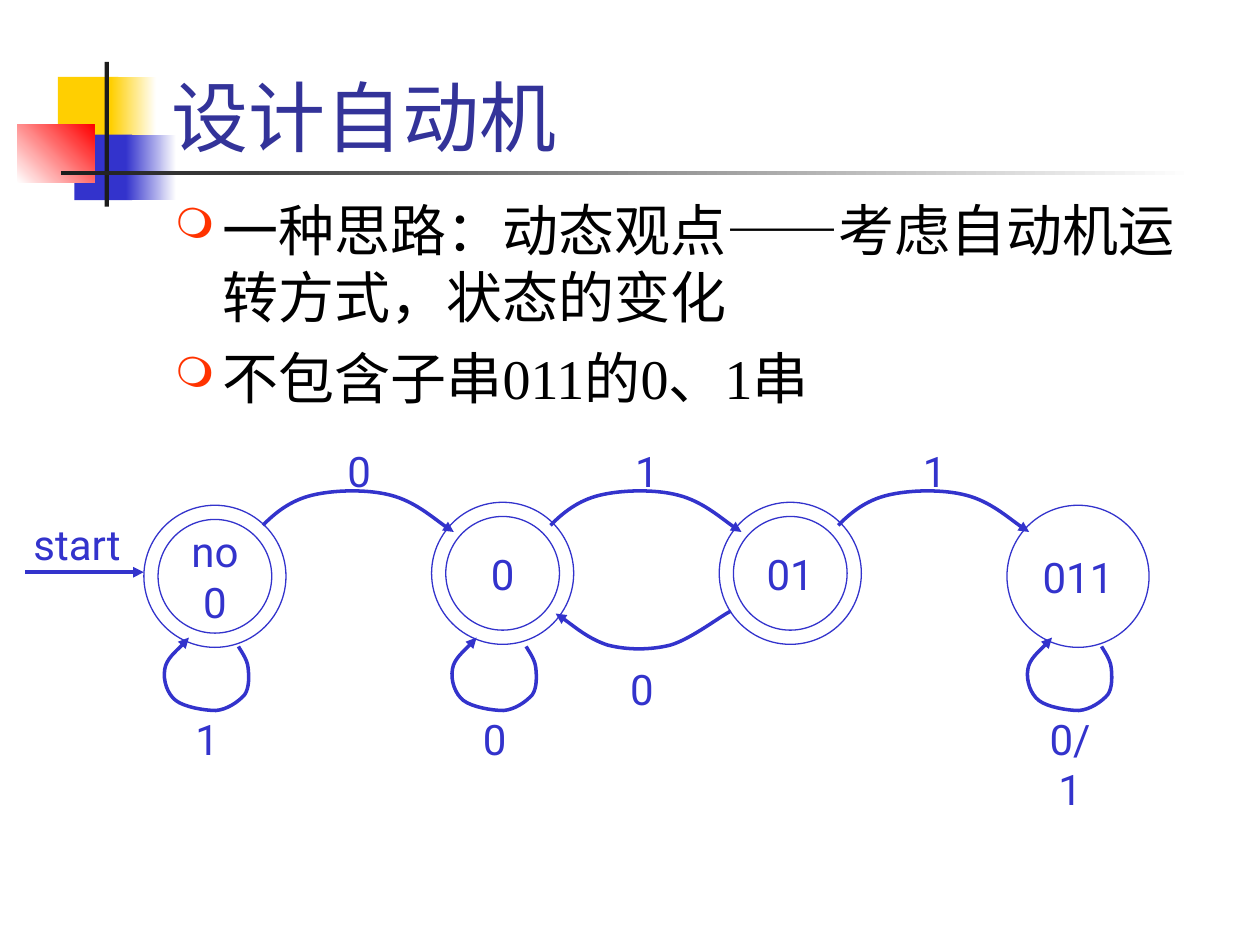
import pptx
import pptx.util
import pptx.dml.color
import pptx.enum.shapes
import pptx.enum.text
from lxml import etree
from pptx.oxml.ns import qn

Pt = pptx.util.Pt
KIND = pptx.enum.shapes.MSO_SHAPE
ALIGN = pptx.enum.text.PP_ALIGN
ANCHOR = pptx.enum.text.MSO_ANCHOR

INK = {"yellow": "FFCF01", "blue": "3333CC", "red": "FF0000", "dark": "1C1C1C",
       "white": "FFFFFF", "title": "333399", "text": "000000", "bullet": "FF3300"}

# Curves run from start to end: first point, then three points per Bezier piece.
# Each x counts from the centre of the state the curve belongs to.
LOOP = [(13.5, 369.4), (14.5, 371.5), (18.5, 376.5), (19, 381.5),
        (19.5, 386), (19.8, 393), (17, 397), (13.5, 401), (7, 405.5), (0.5, 406),
        (-6, 406), (-17.5, 404), (-22.3, 400.3), (-27, 396.7), (-29.8, 389), (-28.6, 382.3),
        (-27.7, 376.5), (-17.7, 368), (-14.8, 364.3)]
AHEAD = [(27.4, 300.2), (34.5, 293), (43.2, 286), (55.5, 283),
         (67.7, 280), (87, 279.4), (100.5, 283), (114, 286.5), (129, 299.5), (136.5, 304)]
BACK = [(130.4, 349.2), (124.6, 352), (108, 365), (96, 368.6),
        (84.3, 371.5), (71.3, 371.5), (60, 368.6), (49, 365), (36, 354), (30.3, 350.6)]


def tint(name):
    return pptx.dml.color.RGBColor.from_string(INK[name])


class Sheet:
    def __init__(self, slide, face="Roboto", size=24, ink="blue"):
        self.shapes = slide.shapes
        self.face, self.size, self.ink = face, size, ink

    def block(self, x, y, w, h, *inks, angle=0):
        """Draw a borderless rectangle; two inks make a gradient."""
        shape = self.shapes.add_shape(KIND.RECTANGLE, Pt(x), Pt(y), Pt(w), Pt(h))
        shape.shadow.inherit = False
        shape.line.fill.background()
        if len(inks) == 1:
            shape.fill.solid()
            shape.fill.fore_color.rgb = tint(inks[0])
            return
        shape.fill.gradient()
        shape.fill.gradient_angle = angle
        for stop, ink in zip(shape.fill.gradient_stops, inks):
            stop.color.rgb = tint(ink)

    def style(self, para, face=None, size=None, ink=None):
        para.font.name = face or self.face
        para.font.size = Pt(size or self.size)
        para.font.color.rgb = tint(ink or self.ink)

    def box(self, x, y, w, h):
        frame = self.shapes.add_textbox(Pt(x), Pt(y), Pt(w), Pt(h)).text_frame
        frame.word_wrap = True
        return frame

    def title(self, text):
        frame = self.box(90.7, 5.8, 613.4, 90)
        frame.vertical_anchor = ANCHOR.BOTTOM
        frame.text = text
        self.style(frame.paragraphs[0], "Times New Roman", 44, "title")

    def list(self, *items):
        frame = self.box(92.9, 108, 612, 372)
        frame.text = "\n".join(items)
        for i, para in enumerate(frame.paragraphs):
            props = para._p.get_or_add_pPr()
            props.set("marL", str(Pt(27)))
            props.set("indent", str(-Pt(27)))
            if i:
                para.space_before = Pt(8)
            hue = etree.SubElement(props, qn("a:buClr"))
            etree.SubElement(hue, qn("a:srgbClr"), val=INK["bullet"])
            etree.SubElement(props, qn("a:buSzPct"), val="75000")
            etree.SubElement(props, qn("a:buChar"), char="❍")
            self.style(para, "Times New Roman", 32, "text")

    def label(self, text, mid, y, w=48):
        frame = self.box(mid - w / 2, y, w, 36)
        frame.text = text
        frame.paragraphs[0].alignment = ALIGN.CENTER
        self.style(frame.paragraphs[0])

    def state(self, text, mid, y, final=True):
        """Draw a state circle, doubled when it accepts."""
        side = 81.2
        kind = KIND.DONUT if final else KIND.OVAL
        shape = self.shapes.add_shape(kind, Pt(mid - side / 2), Pt(y), Pt(side), Pt(side))
        if final:
            shape.adjustments[0] = 0.1
        shape.shadow.inherit = False
        shape.fill.background()
        shape.line.color.rgb = tint(self.ink)
        shape.line.width = Pt(0.75)
        frame = shape.text_frame
        frame.word_wrap = False
        frame.vertical_anchor = ANCHOR.MIDDLE
        frame.text = text
        for para in frame.paragraphs:
            para.alignment = ALIGN.CENTER
            self.style(para)

    def head(self, shape):
        """Give a line its ink, width and arrowhead."""
        shape.line.color.rgb = tint(self.ink)
        shape.line.width = Pt(2)
        etree.SubElement(shape.line._get_or_add_ln(), qn("a:tailEnd"), type="triangle")

    def arrow(self, x1, y1, x2, y2):
        line = self.shapes.add_connector(
            pptx.enum.shapes.MSO_CONNECTOR.STRAIGHT, Pt(x1), Pt(y1), Pt(x2), Pt(y2))
        self.head(line)
        etree.SubElement(line._element.spPr, qn("a:effectLst"))

    def curve(self, points, mid):
        spots = [(Pt(mid + x), Pt(y)) for x, y in points]
        build = self.shapes.build_freeform(*spots[0])
        build.add_line_segments(spots[1:], close=False)
        shape = build.convert_to_shape()
        shape.shadow.inherit = False
        shape.fill.background()
        self.head(shape)
        # Turn every three straight segments into one Bezier piece.
        legs = list(shape._element.iter(qn("a:lnTo")))
        for i in range(0, len(legs), 3):
            legs[i].addprevious(piece := etree.Element(qn("a:cubicBezTo")))
            for leg in legs[i:i + 3]:
                piece.append(leg[0])
                leg.getparent().remove(leg)


def main():
    deck = pptx.Presentation()
    deck.slide_width, deck.slide_height = Pt(720), Pt(540)
    sheet = Sheet(deck.slides.add_slide(deck.slide_layouts[6]))

    sheet.block(33.1, 43.9, 34.6, 37.4, "yellow")
    sheet.block(63.4, 43.9, 25.9, 37.4, "yellow", "white")
    sheet.block(42.5, 77, 33.1, 37.4, "blue")
    sheet.block(72, 77, 28.8, 37.4, "blue", "white")
    sheet.block(10, 71.3, 44, 33.1, "white", "red", angle=45)
    sheet.block(59.8, 35.3, 2.4, 82.8, "dark")
    sheet.block(34.6, 97.9, 648, 2.2, "dark", "white")

    sheet.title("设计自动机")
    sheet.list("一种思路：动态观点——考虑自动机运转方式，状态的变化",
               "不包含子串011的0、1串")

    none, zero, one, trap = mids = [122.8 + 164.4 * i for i in range(4)]
    sheet.state("no\n0", none, 288.7)
    sheet.state("0", zero, 287)
    sheet.state("01", one, 287)
    sheet.state("011", trap, 288.7, final=False)

    sheet.arrow(14.4, 327, 82.2, 327)
    sheet.label("start", 44, 293, 70.6)
    for mid, text in (none, "1"), (zero, "0"), (trap, "0/1"):
        sheet.curve(LOOP, mid)
        sheet.label(text, mid - 4.5, 404)
    for mid, text in zip(mids, "011"):
        sheet.curve(AHEAD, mid)
        sheet.label(text, mid + 82.5, 251.3)
    sheet.curve(BACK, zero)
    sheet.label("0", zero + 79.6, 375.8)

    deck.save("out.pptx")


if __name__ == "__main__":
    main()
